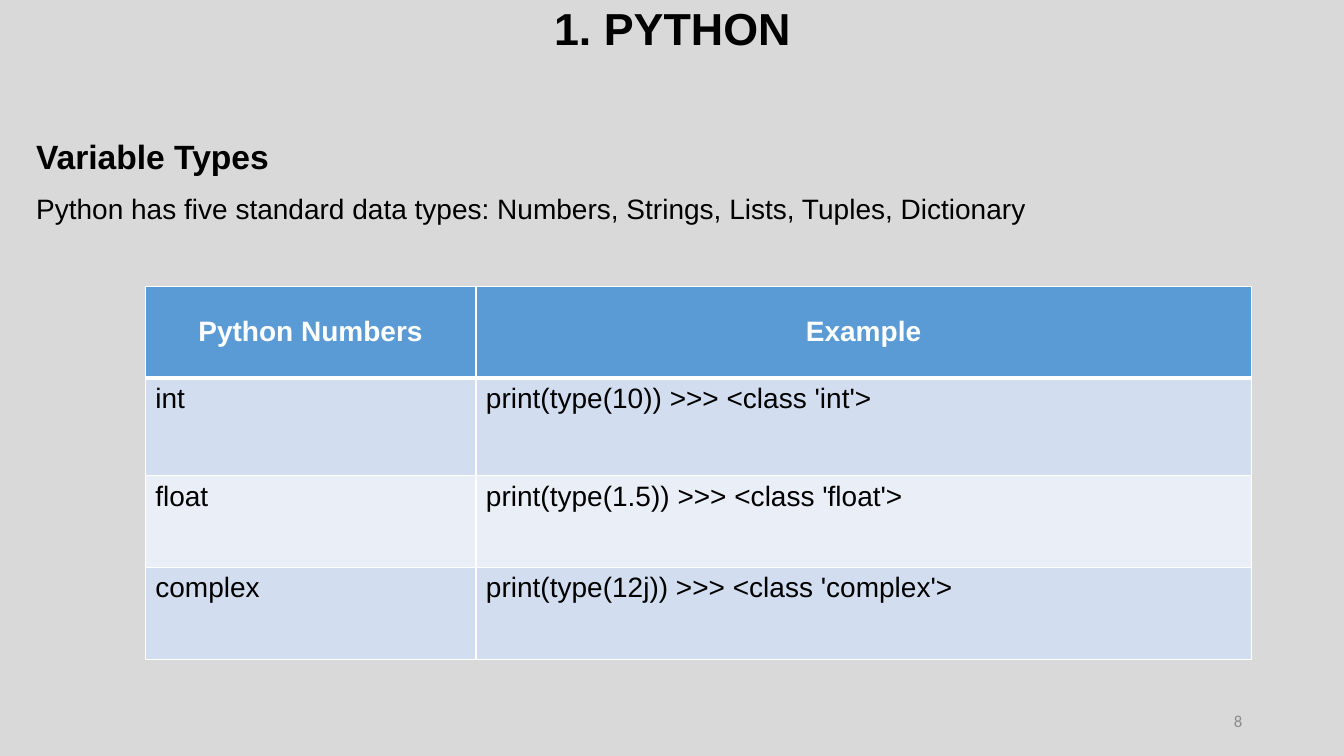
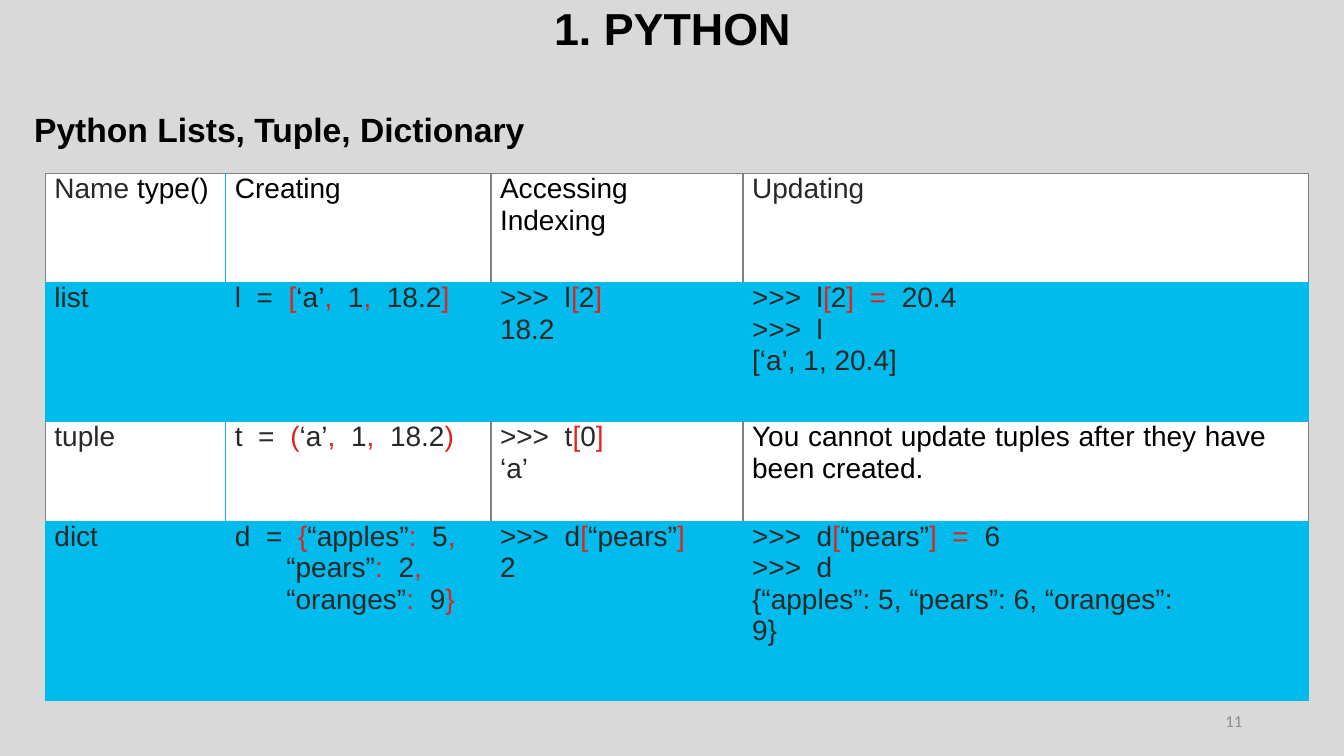
from dataclasses import dataclass

from lxml import etree
from pptx import Presentation
from pptx.dml.color import RGBColor
from pptx.enum.text import MSO_ANCHOR, PP_ALIGN
from pptx.oxml import ns
from pptx.util import Inches, Pt


@dataclass(frozen=True)
class Theme:
    """Colours, fonts and type sizes of the deck."""
    page: str = "D9D9D9"
    black: str = "000000"
    white: str = "FFFFFF"
    number: str = "8C8C8C"
    header: str = "5B9BD5"
    band_dark: str = "D2DEEF"
    band_light: str = "EAEFF7"
    cyan: str = "00BBEB"
    rule: str = "808080"
    code: str = "282828"
    red: str = "E3231B"
    font: str = "Arial"
    number_font: str = "Calibri"
    title_size: int = 32
    heading_size: int = 24
    body_size: int = 20
    number_size: int = 12


T = Theme()
# A piece of marked text that starts with one of these takes its colour.
MARKS = {"!": T.red, "*": T.black}


def write(tf, lines, size=T.body_size, color=T.black, bold=False,
          font=T.font, **paragraph):
    """Write lines to a text frame; | parts runs, a tab indents a line."""
    for i, line in enumerate(lines):
        p = tf.paragraphs[0] if i == 0 else tf.add_paragraph()
        for name, value in paragraph.items():
            setattr(p, name, value)
        if line.startswith("\t"):
            p._p.get_or_add_pPr().set("marL", str(Inches(0.51)))
        for piece in line.strip("\t").split("|"):
            r = p.add_run()
            r.text = piece[1:] if piece[0] in MARKS else piece
            look = {"size": Pt(size), "bold": bold, "name": font}
            for name, value in look.items():
                setattr(r.font, name, value)
            r.font.color.rgb = RGBColor.from_string(MARKS.get(piece[0], color))


def paint(cell, fill, edges):
    """Give a cell its borders, as (colour, points) by side, and its fill."""
    tc_pr = cell._tc.get_or_add_tcPr()
    for side in "LRTB":
        color, width = edges[side]
        ln = etree.SubElement(tc_pr, ns.qn(f"a:ln{side}"), w=str(Pt(width)))
        solid = etree.SubElement(ln, ns.qn("a:solidFill"))
        etree.SubElement(solid, ns.qn("a:srgbClr"), val=color)
    cell.fill.solid()
    cell.fill.fore_color.rgb = RGBColor.from_string(fill)


TITLE = {"size": T.title_size, "bold": True, "alignment": PP_ALIGN.CENTER,
         "line_spacing": 0.9}
NUMBER = {"size": T.number_size, "color": T.number, "font": T.number_font,
          "alignment": PP_ALIGN.RIGHT}
HEADING = {"size": T.heading_size, "bold": True}

pages = [
    {"number": "8",
     "texts": [
         ("Variable Types", (0.26, 1.3, 2.53, 0.5), HEADING),
         ("Python has five standard data types: "
          "Numbers, Strings, Lists, Tuples, Dictionary",
          (0.26, 1.85, 10.09, 0.44), {})],
     "at": (1.44, 2.84),
     "cols": [3.28, 7.69],
     "rows": [0.91, 0.97, 0.91, 0.91],
     "cells": [
         ["Python Numbers", "Example"],
         ["int", "print(type(10)) >>> <class 'int'>"],
         ["float", "print(type(1.5)) >>> <class 'float'>"],
         ["complex", "print(type(12j)) >>> <class 'complex'>"]]},
    {"number": "11",
     "texts": [("Python Lists, Tuple, Dictionary",
                (0.24, 1.03, 5.11, 0.5), HEADING)],
     "at": (0.45, 1.72),
     "cols": [1.79, 2.63, 2.5, 5.61],
     "rows": [1.08, 1.38, 0.99, 1.78],
     "cells": [
         ["Name |*type()", "*Creating", "*Accessing\n*Indexing", "Updating"],
         ["list",
          "l  =  |![|‘a’|!,  |1|!,  |18.2|!]",
          ">>>  l|![|2|!]\n18.2",
          ">>>  l|![|2|!]  =  |20.4\n>>>  l\n[‘a’, 1, 20.4]"],
         ["tuple",
          "t  =  |!(|‘a’|!,  |1|!,  |18.2|!)",
          ">>>  t|![|0|!]\n‘a’",
          "*You cannot update tuples after they have been created."],
         ["dict",
          "d  =  |!{|“apples”|!:  |5|!,\n"
          "\t“pears”|!:  |2|!,\n"
          "\t“oranges”|!:  |9|!}",
          ">>>  d|![|“pears”|!]\n2",
          ">>>  d|![|“pears”|!]  =  |6\n>>>  d\n"
          "{“apples”: 5, “pears”: 6, “oranges”:\n9}"]]},
]

prs = Presentation()
prs.slide_width, prs.slide_height = Inches(13.33), Inches(7.5)
tables = []

for page in pages:
    s = prs.slides.add_slide(prs.slide_layouts[6])
    s.background.fill.solid()
    s.background.fill.fore_color.rgb = RGBColor.from_string(T.page)

    shared = [
        ("1. PYTHON", (5, 0, 3.34, 0.6), TITLE, MSO_ANCHOR.BOTTOM),
        (page["number"], (9.42, 6.95, 3, 0.4), NUMBER, MSO_ANCHOR.MIDDLE)]
    own = [(*entry, MSO_ANCHOR.TOP) for entry in page["texts"]]
    for words, box, style, anchor in shared + own:
        tf = s.shapes.add_textbox(*map(Inches, box)).text_frame
        tf.word_wrap = anchor != MSO_ANCHOR.TOP
        tf.vertical_anchor = anchor
        write(tf, [words], **style)

    cols, rows = page["cols"], page["rows"]
    size = (sum(cols), sum(rows))
    table = s.shapes.add_table(len(rows), len(cols),
                               *map(Inches, page["at"] + size)).table
    table.first_row = table.horz_banding = False
    for col, width in zip(table.columns, cols):
        col.width = Inches(width)
    for row, height in zip(table.rows, rows):
        row.height = Inches(height)
    tables.append(table)

numbers, collections = tables

# Numbers: blue header over two alternating bands, white rules.
for i, row in enumerate(pages[0]["cells"]):
    for j, words in enumerate(row):
        cell = numbers.cell(i, j)
        edges = dict.fromkeys("LRTB", (T.white, 1))
        if i == 0:
            edges["B"] = (T.white, 3)
            paint(cell, T.header, edges)
            cell.vertical_anchor = MSO_ANCHOR.MIDDLE
            write(cell.text_frame, [words], color=T.white, bold=True,
                  alignment=PP_ALIGN.CENTER)
        else:
            if i == 1:
                edges["T"] = (T.white, 3)
            paint(cell, T.band_dark if i % 2 else T.band_light, edges)
            write(cell.text_frame, [words])

# Collections: white and cyan rows, grey rules round the white cells.
for i, row in enumerate(pages[1]["cells"]):
    banded = i % 2 == 1
    sides = [T.cyan if banded or k == 1 else T.rule
             for k in range(len(row) + 1)]
    for j, words in enumerate(row):
        cell = collections.cell(i, j)
        last = j == len(row) - 1
        paint(cell, T.cyan if banded else T.white,
              {"L": (sides[j], 1), "R": (sides[j + 1], 1),
               "T": (T.cyan if i else T.rule, 1), "B": (T.cyan, 1)})
        margins = {"margin_left": 0.09, "margin_right": 0.42 if last else 0,
                   "margin_top": 0, "margin_bottom": 0}
        for name, value in margins.items():
            setattr(cell, name, Inches(value))
        write(cell.text_frame, words.split("\n"), color=T.code,
              line_spacing=Pt(22.4),
              alignment=PP_ALIGN.JUSTIFY if last else PP_ALIGN.LEFT)

prs.save("out.pptx")
